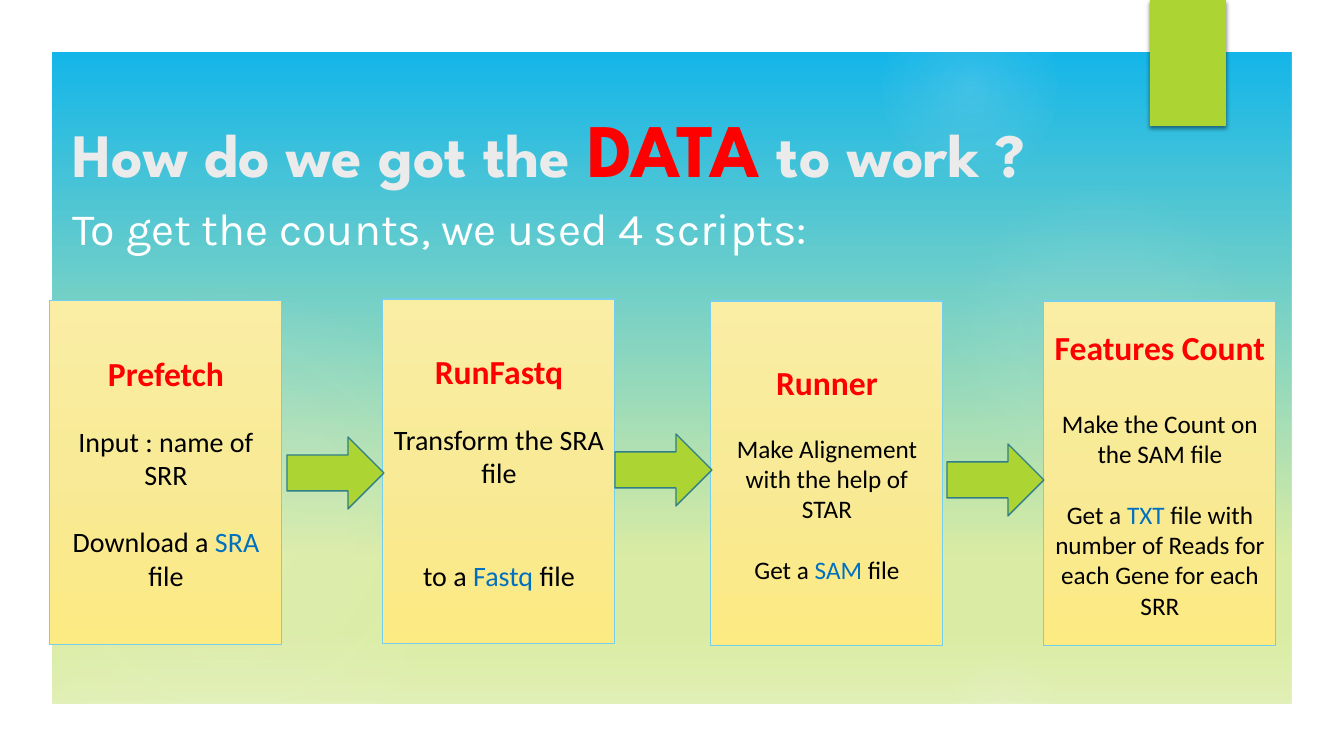
from lxml import etree
from pptx import Presentation
from pptx import util as u
from pptx.dml.color import RGBColor
from pptx.enum import shapes, text
from pptx.oxml.ns import qn

PX = 914400 / 100.8
WIDTH, HEIGHT = 1344, 756
BORDER = 52
STEP_SIZE = (232, 345)
ARROW_SIZE = (97, 72)
COLORS = {
    "white": "FFFFFF", "glow": "F7F7F7", "heading": "EBEBEB", "red": "FF0000",
    "black": "000000", "blue": "0070C0", "green": "ACD433",
    "arrow_line": "2F7E89", "step_line": "75CEEC",
}
SKY = [(0, "00B0F0", 100), (74, "DAECA3", 100), (83, "DAECA3", 100), (100, "E6F2C2", 100)]
SAND = [(0, "FAEEA5", 100), (50, "F8EA96", 100), (100, "FCEA82", 100)]

# Box of each glow, then its (position, opacity) stops
GLOWS = [
    ((0, 294, 462, 462), [(0, 11), (36, 10), (75, 0)]),
    ((0, 320, 260, 260), [(0, 8), (36, 8), (72, 0)]),
    ((949, 184, 310, 310), [(0, 7), (36, 6), (69, 0)]),
    ((882, 0, 176, 176), [(0, 14), (36, 7), (73, 0)]),
    ((949, 647, 109, 109), [(0, 14), (36, 7), (66, 0)]),
]

# Left, top, name, text size, then (space before in points, pieces) per paragraph
STEPS = [
    (50, 300, "Prefetch", 20, [
        (22, [("Input : name of SRR", "black")]),
        (24, [("Download a ", "black"), ("SRA", "blue"), (" file", "black")])]),
    (383, 299, "RunFastq", 20, [
        (22, [("Transform the SRA file", "black")]),
        (49, [("to a ", "black"), ("Fastq", "blue"), (" file", "black")])]),
    (711, 301, "Runner", 18, [
        (22, [("Make Alignement with the help of STAR", "black")]),
        (22, [("Get a ", "black"), ("SAM", "blue"), (" file", "black")])]),
    (1044, 301, "Features Count", 18, [
        (29, [("Make the Count on the SAM file", "black")]),
        (22, [("Get a ", "black"), ("TXT", "blue"),
              (" file with number of Reads for each Gene for each SRR", "black")])]),
]
ARROWS = [(287, 437), (615, 434), (947, 444)]


def px(length):
    return u.Emu(round(length * PX))


def rgb(name):
    return RGBColor.from_string(COLORS[name])


def set_gradient(fill, owner, stops, circular=False):
    """Fill with (position, colour, opacity) stops, downwards or from the centre."""
    fill.gradient()
    gradient = next(owner.iter(qn("a:gradFill")))
    for child in list(gradient):
        gradient.remove(child)
    stop_list = etree.SubElement(gradient, qn("a:gsLst"))
    for position, color, opacity in stops:
        stop = etree.SubElement(stop_list, qn("a:gs"), pos=str(position * 1000))
        value = etree.SubElement(stop, qn("a:srgbClr"), val=color)
        if opacity < 100:
            etree.SubElement(value, qn("a:alpha"), val=str(opacity * 1000))
    if circular:
        circle = etree.SubElement(gradient, qn("a:path"), path="circle")
        etree.SubElement(circle, qn("a:fillToRect"), l="50000", t="50000", r="50000", b="50000")
    else:
        etree.SubElement(gradient, qn("a:lin"), ang="5400000", scaled="0")


def add_shape(slide, kind, box, fill=None, line=None, line_width=1):
    shape = slide.shapes.add_shape(kind, *map(px, box))
    shape.shadow.inherit = False
    if fill:
        shape.fill.solid()
        shape.fill.fore_color.rgb = rgb(fill)
    if line:
        shape.line.color.rgb = rgb(line)
        shape.line.width = u.Pt(line_width)
    else:
        shape.line.fill.background()
    return shape


def write_runs(paragraph, pieces, size, font, bold=False):
    for words, color in pieces:
        run = paragraph.add_run()
        run.text = words
        run.font.name = font
        run.font.size = u.Pt(size)
        run.font.bold = bold
        run.font.color.rgb = rgb(color)


def add_tab_shadow(tab):
    effects = tab.element.spPr.find(qn("a:effectLst"))
    shadow = etree.SubElement(effects, qn("a:outerShdw"), blurRad=str(u.Pt(3)),
                              dist=str(u.Pt(2)), dir="5400000", rotWithShape="0")
    color = etree.SubElement(shadow, qn("a:srgbClr"), val=COLORS["black"])
    etree.SubElement(color, qn("a:alpha"), val="45000")


def add_backdrop(slide):
    set_gradient(slide.background.fill, slide.element, SKY)
    for box, opacities in GLOWS:
        glow = add_shape(slide, shapes.MSO_SHAPE.OVAL, box)
        stops = [(position, COLORS["glow"], opacity) for position, opacity in opacities]
        set_gradient(glow.fill, glow.element, stops, circular=True)
    frame = add_shape(slide, shapes.MSO_SHAPE.FRAME, (0, 0, WIDTH, HEIGHT), "white")
    frame.adjustments[0] = BORDER / HEIGHT
    tab = add_shape(slide, shapes.MSO_SHAPE.RECTANGLE, (1150, 0, 76, 126), "green")
    add_tab_shadow(tab)


def place_placeholder(placeholder, box, anchor):
    """Move a placeholder in front of the backdrop and return its paragraph."""
    placeholder.element.getparent().append(placeholder.element)
    placeholder.left, placeholder.top, placeholder.width, placeholder.height = map(px, box)
    frame = placeholder.text_frame
    frame.word_wrap = True
    frame.auto_size = text.MSO_AUTO_SIZE.NONE
    frame.vertical_anchor = anchor
    paragraph = frame.paragraphs[0]
    paragraph.alignment = text.PP_ALIGN.LEFT
    paragraph.line_spacing = 0.9
    paragraph.space_before = u.Pt(0)
    return paragraph


def add_headings(slide):
    title = place_placeholder(slide.shapes.title, (62, 5, 1205, 297), text.MSO_ANCHOR.MIDDLE)
    write_runs(title, [("How do we got the ", "heading"), ("DATA", "red"),
                       (" to work ?", "heading")], 44, "League Spartan", bold=True)
    title.runs[1].font.size = u.Pt(54)
    subtitle = place_placeholder(slide.placeholders[1], (62, 202, 1037, 59), text.MSO_ANCHOR.TOP)
    write_runs(subtitle, [("To get the counts, we used 4 scripts:", "white")], 32, "Karla")


def add_step(slide, box, name, size, details):
    step = add_shape(slide, shapes.MSO_SHAPE.RECTANGLE, box, line="step_line", line_width=0.75)
    set_gradient(step.fill, step.element, SAND)
    frame = step.text_frame
    frame.word_wrap = True
    frame.vertical_anchor = text.MSO_ANCHOR.MIDDLE
    write_runs(frame.paragraphs[0], [(name, "red")], 24, "Calibri", bold=True)
    for gap, pieces in details:
        paragraph = frame.add_paragraph()
        paragraph.space_before = u.Pt(gap)
        write_runs(paragraph, pieces, size, "Calibri")
    for paragraph in frame.paragraphs:
        paragraph.alignment = text.PP_ALIGN.CENTER


def add_pipeline(slide):
    for left, top, name, size, details in STEPS:
        add_step(slide, (left, top, *STEP_SIZE), name, size, details)
    for corner in ARROWS:
        add_shape(slide, shapes.MSO_SHAPE.RIGHT_ARROW, (*corner, *ARROW_SIZE),
                  "green", "arrow_line")


def main():
    presentation = Presentation()
    presentation.slide_width, presentation.slide_height = px(WIDTH), px(HEIGHT)
    slide = presentation.slides.add_slide(presentation.slide_layouts[0])
    add_backdrop(slide)
    add_headings(slide)
    add_pipeline(slide)
    presentation.save("out.pptx")


if __name__ == "__main__":
    main()
